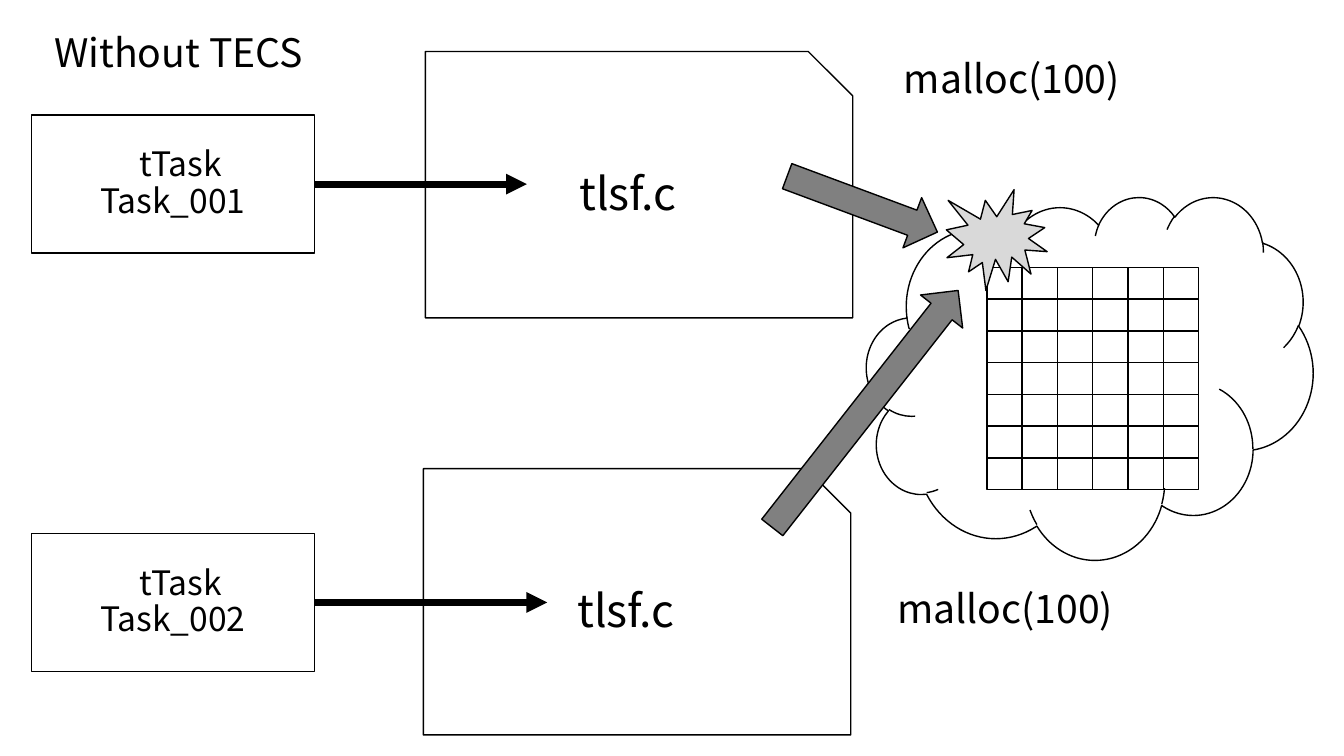
from dataclasses import dataclass
from itertools import product

from lxml import etree
from pptx import Presentation
from pptx.dml.color import RGBColor as RGB
from pptx.enum.shapes import MSO_CONNECTOR as CONN, MSO_SHAPE as SHAPE
from pptx.enum.text import MSO_ANCHOR as ANCHOR, MSO_AUTO_SIZE as AUTO, PP_ALIGN as ALIGN
from pptx.oxml.ns import qn
from pptx.util import Cm, Pt


@dataclass(frozen=True)
class Theme:
    font: str = "Noto Sans CJK JP"
    ink: RGB = RGB(0x00, 0x00, 0x00)
    paper: RGB = RGB(0xFF, 0xFF, 0xFF)
    arrow: RGB = RGB(0x80, 0x80, 0x80)
    burst: RGB = RGB(0xD9, 0xD9, 0xD9)
    task_size: int = 24
    label_size: int = 28
    file_size: int = 32
    thin: int = 1
    thick: int = 5


class Sketch:
    def __init__(self, slide, theme):
        self.s = slide
        self.t = theme

    def add_text(self, sp, lines, size, spacing=None, indent=0):
        """Centre the lines; indent moves the first one to the right."""
        tf = sp.text_frame
        tf.word_wrap = True
        tf.auto_size = AUTO.NONE
        tf.vertical_anchor = ANCHOR.MIDDLE
        for i, line in enumerate(lines):
            p = tf.paragraphs[0] if i == 0 else tf.add_paragraph()
            p.alignment = ALIGN.CENTER
            if spacing:
                p.line_spacing = spacing
            if indent and i == 0:
                p._p.get_or_add_pPr().set("marL", str(Cm(indent)))
            r = p.add_run()
            r.text = line
            r.font.name = self.t.font
            r.font.size = Pt(size)
            r.font.color.rgb = self.t.ink

    def title(self, text, *box):
        sp = self.s.shapes.title
        sp.left, sp.top, sp.width, sp.height = map(Cm, box)
        self.add_text(sp, [text], self.t.label_size)

    def shape(self, kind, *box, fill=None, line=None, rotation=0, parent=None):
        sp = (parent or self.s).shapes.add_shape(kind, *map(Cm, box))
        sp.shadow.inherit = False
        sp.rotation = rotation
        if fill is None:
            sp.fill.background()
        else:
            sp.fill.solid()
            sp.fill.fore_color.rgb = fill
        sp.line.color.rgb = self.t.ink if line is None else line
        sp.line.width = Pt(self.t.thin)
        return sp

    def label(self, text, *box):
        paper = self.t.paper
        sp = self.shape(SHAPE.RECTANGLE, *box, fill=paper, line=paper)
        self.add_text(sp, [text], self.t.label_size)

    def grid(self, left, top, cols, rows, width, height):
        group = self.s.shapes.add_group_shape()
        for row, col in product(range(rows), range(cols)):
            self.shape(SHAPE.RECTANGLE, left + col * width, top + row * height,
                       width, height, parent=group)

    def call_arrow(self, source, end_x):
        y = source.top + source.height // 2
        c = self.s.shapes.add_connector(CONN.STRAIGHT, source.left + source.width, y,
                                        Cm(end_x), y)
        c.begin_connect(source, 3)
        c.line.color.rgb = self.t.ink
        c.line.width = Pt(self.t.thick)
        etree.SubElement(c.line._get_or_add_ln(), qn("a:tailEnd"), type="triangle")
        etree.SubElement(c._element.spPr, qn("a:effectLst"))


def main():
    prs = Presentation()
    prs.slide_width, prs.slide_height = Cm(33.87), Cm(19.05)
    t = Theme()
    d = Sketch(prs.slides.add_slide(prs.slide_layouts[5]), t)

    d.title("Without TECS", 0.79, 0.33, 7.42, 1.93)

    # Tasks, each calling its own allocator file
    calls = [
        ("Task_001", 2.9, (10.72, 1.3), 13.28, (21.79, 0.99)),
        ("Task_002", 13.44, (10.67, 11.81), 13.79, (21.62, 14.35)),
    ]
    for name, task_top, file_at, arrow_end, malloc_at in calls:
        file = d.shape(SHAPE.SNIP_1_RECTANGLE, *file_at, 10.77, 6.71, fill=t.paper)
        d.add_text(file, ["tlsf.c"], t.file_size, spacing=0.9)
        task = d.shape(SHAPE.RECTANGLE, 0.79, task_top, 7.14, 3.48, fill=t.paper)
        d.add_text(task, ["tTask", name], t.task_size, spacing=0.9, indent=0.38)
        d.label("malloc(100)", *malloc_at, 7.42, 1.93)
        d.call_arrow(task, arrow_end)

    # Shared memory pool
    d.shape(SHAPE.CLOUD, 21.84, 4.95, 11.25, 9.14)
    d.grid(24.87, 6.74, cols=6, rows=7, width=0.89, height=0.8)

    # Colliding requests
    d.shape(SHAPE.RIGHT_ARROW, 19.71, 4.47, 4.04, 1.35, fill=t.arrow, rotation=20.4)
    d.shape(SHAPE.RIGHT_ARROW, 18.01, 9.63, 7.59, 1.35, fill=t.arrow, rotation=308.1)
    d.shape(SHAPE.EXPLOSION1, 23.85, 4.78, 2.54, 2.54, fill=t.burst)

    prs.save("out.pptx")


if __name__ == "__main__":
    main()
